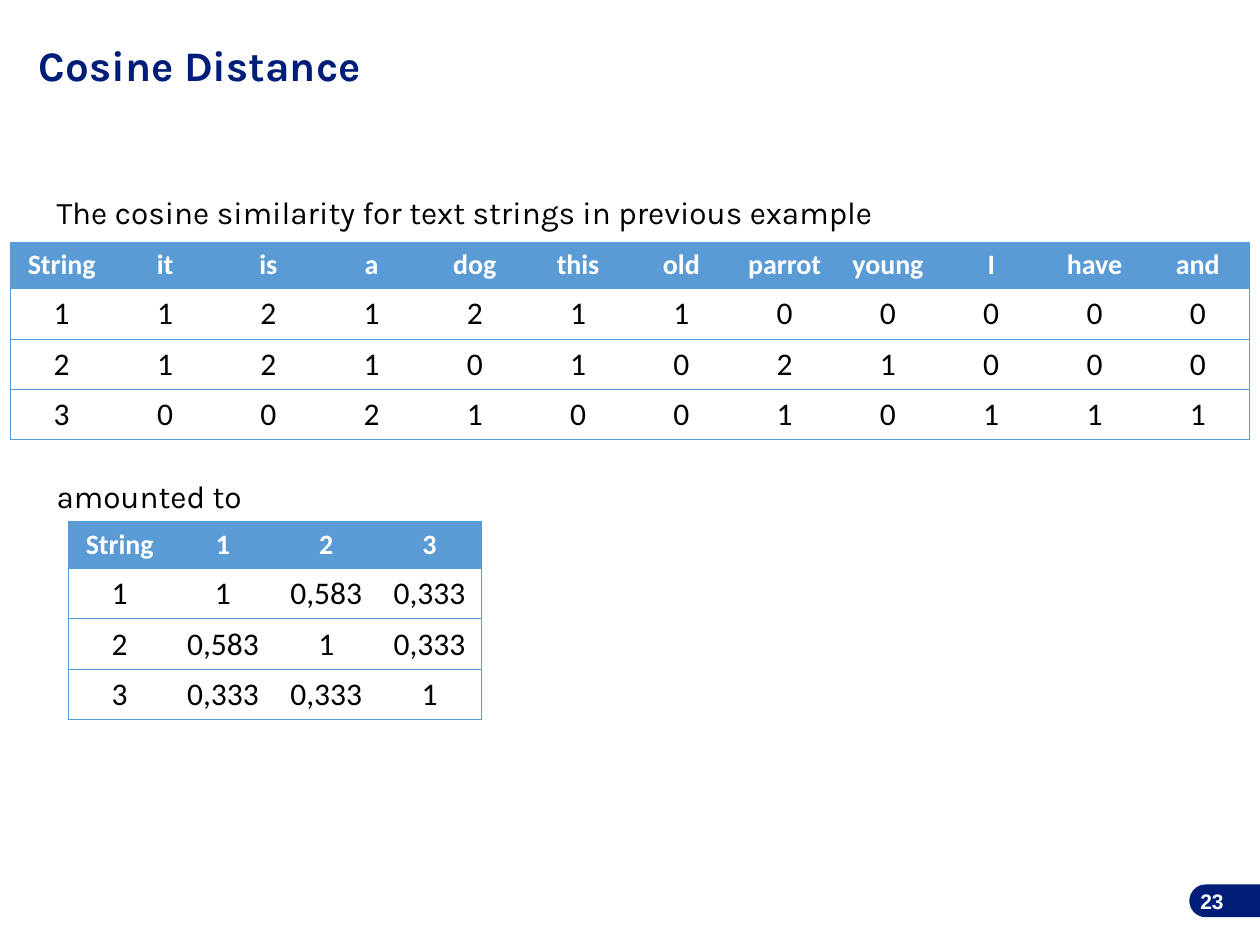
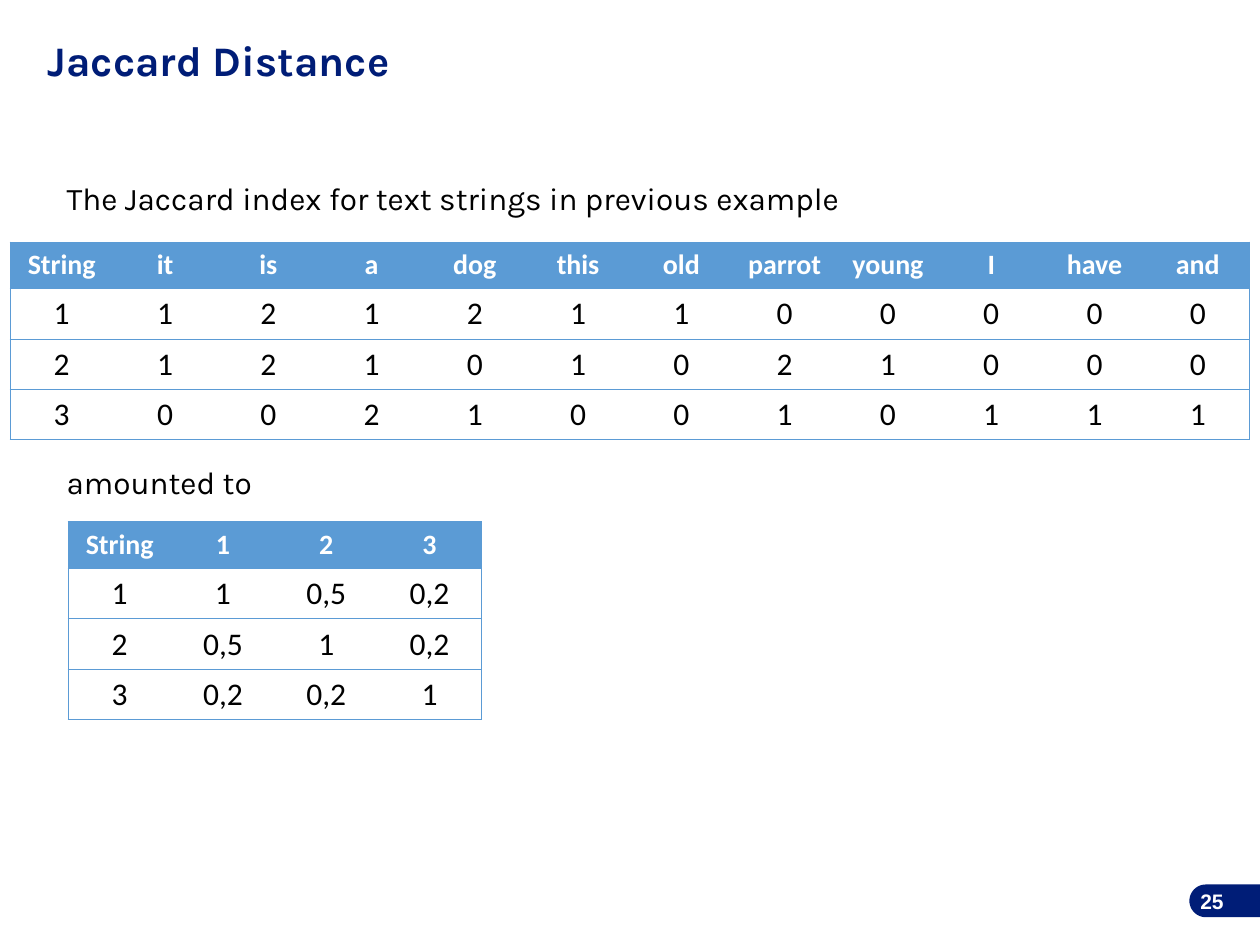
from math import cos, pi, sin
from lxml.etree import SubElement
from pptx import Presentation
from pptx.dml.color import RGBColor
from pptx.enum.text import MSO_ANCHOR, PP_ALIGN
from pptx.oxml.ns import qn
from pptx.util import Inches, Pt

COLORS = {"navy": "001D77", "blue": "5B9BD5", "black": "000000", "white": "FFFFFF"}
NO_GRID_STYLE = "{2D5ABB26-0587-4C30-8999-92F81FD0307C}"
COLUMN_WIDTH = 0.82
HEADER_HEIGHT = 0.37
ROW_HEIGHT = 0.4
BADGE_LEFT, BADGE_TOP, BADGE_RADIUS = 9.44, 7.02, 0.13

WORD_COUNTS = [
    "String it is a dog this old parrot young I have and".split(),
    "1 1 2 1 2 1 1 0 0 0 0 0".split(),
    "2 1 2 1 0 1 0 2 1 0 0 0".split(),
    "3 0 0 2 1 0 0 1 0 1 1 1".split(),
]
SLIDES = [
    {
        "title": "Cosine Distance",
        "title_at": (-0.79, 0.19),
        "intro": "The cosine similarity for text strings in previous example",
        "body_at": (0.35, 0.88),
        "number": "23",
        "scores": ["1 1 0,583 0,333", "2 0,583 1 0,333", "3 0,333 0,333 1"],
    },
    {
        "title": "Jaccard Distance",
        "title_at": (-0.64, 0.15),
        "intro": "The Jaccard index for text strings in previous example",
        "body_at": (0.43, 0.77),
        "number": "25",
        "scores": ["1 1 0,5 0,2", "2 0,5 1 0,2", "3 0,2 0,2 1"],
    },
]


def write(paragraph, text, font="Karla", size=18, color="black", bold=False,
          align=PP_ALIGN.LEFT, line_spacing=None, space_before=0):
    paragraph.alignment = align
    paragraph.line_spacing = line_spacing
    paragraph.space_before = Pt(space_before)
    span = paragraph.add_run()
    span.text = text
    span.font.name = font
    span.font.size = Pt(size)
    span.font.bold = bold
    span.font.color.rgb = RGBColor.from_string(COLORS[color])


def add_box(page, left, top, width, height, anchor=MSO_ANCHOR.MIDDLE):
    box = page.shapes.add_textbox(Inches(left), Inches(top), Inches(width), Inches(height))
    box.text_frame.word_wrap = True
    box.text_frame.vertical_anchor = anchor
    return box.text_frame


deck = Presentation()
deck.slide_width = Inches(10)
deck.slide_height = Inches(7.5)

for content in SLIDES:
    page = deck.slides.add_slide(deck.slide_layouts[6])

    title = add_box(page, *content["title_at"], 4.75, 0.69)
    write(title.paragraphs[0], content["title"], size=24, color="navy", bold=True,
          align=PP_ALIGN.CENTER, line_spacing=0.9)

    body = add_box(page, *content["body_at"], 9.29, 4.14, anchor=MSO_ANCHOR.TOP)
    body.margin_top = Inches(0.5)
    write(body.paragraphs[0], content["intro"], line_spacing=1.5)
    write(body.add_paragraph(), "amounted to", line_spacing=1.5, space_before=130)

    center_x, center_y = BADGE_LEFT + BADGE_RADIUS, BADGE_TOP + BADGE_RADIUS
    angles = [pi / 2 + pi * step / 24 for step in range(25)]
    arc = [(Inches(center_x + BADGE_RADIUS * cos(angle)),
            Inches(center_y + BADGE_RADIUS * sin(angle))) for angle in angles]
    outline = page.shapes.build_freeform(Inches(10), Inches(BADGE_TOP + 2 * BADGE_RADIUS))
    outline.add_line_segments(arc + [(Inches(10), Inches(BADGE_TOP))], close=True)
    badge = outline.convert_to_shape()
    badge.shadow.inherit = False
    badge.fill.solid()
    badge.fill.fore_color.rgb = RGBColor.from_string(COLORS["navy"])
    badge.line.fill.background()

    number = add_box(page, 9.35, 6.95, 0.46, 0.4)
    write(number.paragraphs[0], content["number"], font="Arial", size=12, color="white",
          bold=True, align=PP_ALIGN.RIGHT)

    scores = ["String 1 2 3".split()] + [row.split() for row in content["scores"]]
    for left, top, rows in [(0.08, 1.92, WORD_COUNTS), (0.54, 4.14, scores)]:
        column_count = len(rows[0])
        height = HEADER_HEIGHT + ROW_HEIGHT * (len(rows) - 1)
        frame = page.shapes.add_table(len(rows), column_count, Inches(left), Inches(top),
                                      Inches(COLUMN_WIDTH * column_count), Inches(height))
        table = frame.table
        table.horz_banding = False
        table._tbl.tblPr.find(qn("a:tableStyleId")).text = NO_GRID_STYLE
        for column in table.columns:
            column.width = Inches(COLUMN_WIDTH)
        for row_index, row in enumerate(rows):
            is_header = row_index == 0
            table.rows[row_index].height = Inches(HEADER_HEIGHT if is_header else ROW_HEIGHT)
            for column_index, value in enumerate(row):
                cell = table.cell(row_index, column_index)
                cell.vertical_anchor = MSO_ANCHOR.MIDDLE
                write(cell.text_frame.paragraphs[0], value, font="Calibri",
                      size=16 if is_header else 18, bold=is_header,
                      color="white" if is_header else "black", align=PP_ALIGN.CENTER)
                edges = {"lnL": column_index == 0, "lnR": column_index == column_count - 1,
                         "lnT": True, "lnB": True}
                properties = cell._tc.get_or_add_tcPr()
                for edge, drawn in edges.items():
                    if drawn:
                        border = SubElement(properties, qn(f"a:{edge}"), w=str(Pt(0.5)))
                        fill = SubElement(border, qn("a:solidFill"))
                        SubElement(fill, qn("a:srgbClr"), val=COLORS["blue"])
                if is_header:
                    cell.fill.solid()
                    cell.fill.fore_color.rgb = RGBColor.from_string(COLORS["blue"])
                else:
                    cell.fill.background()

deck.save("out.pptx")
